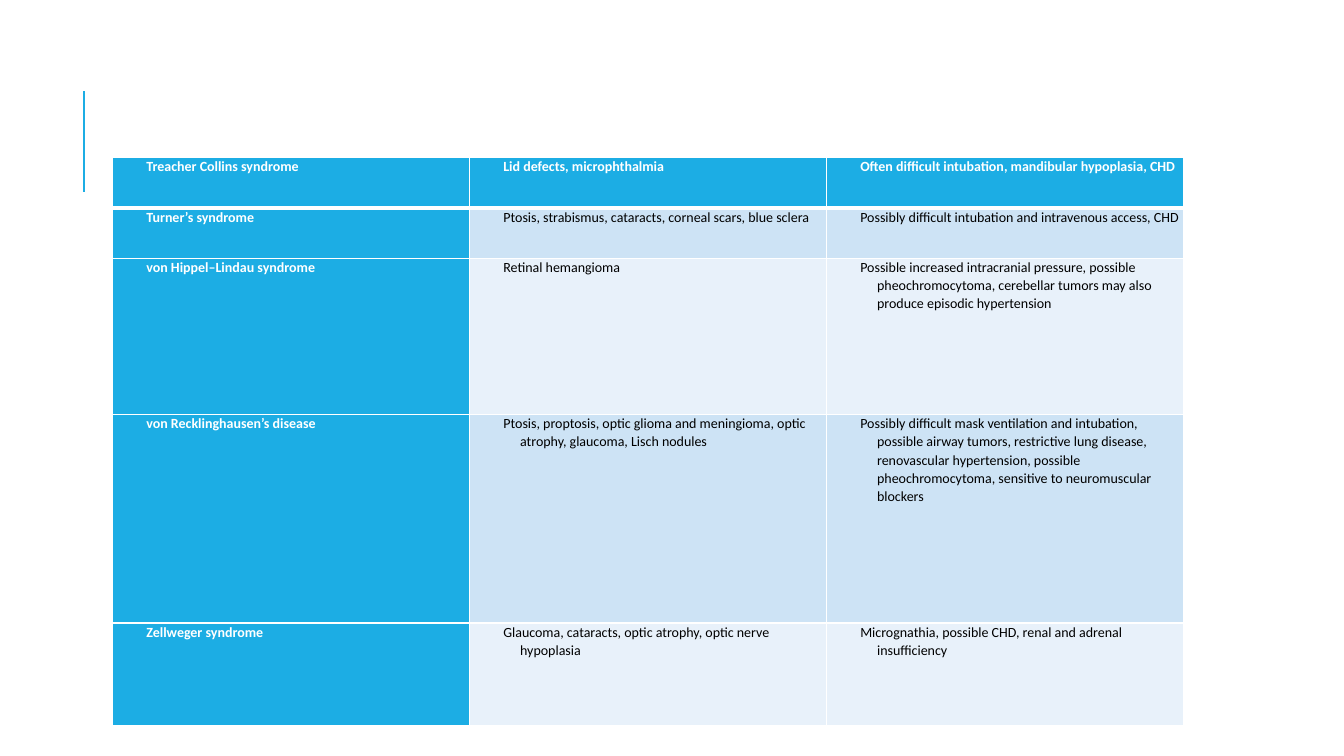
from lxml.etree import SubElement
from pptx import Presentation
from pptx.dml.color import RGBColor
from pptx.enum.shapes import MSO_CONNECTOR
from pptx.oxml import parse_xml
from pptx.oxml.ns import nsdecls, qn
from pptx.util import Pt

BLUE = RGBColor(0x1C, 0xAD, 0xE4)
DARK_BAND = RGBColor(0xCD, 0xE3, 0xF5)
LIGHT_BAND = RGBColor(0xE8, 0xF1, 0xFA)
WHITE = RGBColor(0xFF, 0xFF, 0xFF)
BLACK = RGBColor(0, 0, 0)

SYNDROMES = [
    ("Treacher Collins syndrome",
     "Lid defects, microphthalmia",
     "Often difficult intubation, mandibular hypoplasia, CHD"),
    ("Turner’s syndrome",
     "Ptosis, strabismus, cataracts, corneal scars, blue sclera",
     "Possibly difficult intubation and intravenous access, CHD"),
    ("von Hippel–Lindau syndrome",
     "Retinal hemangioma",
     "Possible increased intracranial pressure, possible pheochromocytoma, "
     "cerebellar tumors may also produce episodic hypertension"),
    ("von Recklinghausen’s disease",
     "Ptosis, proptosis, optic glioma and meningioma, optic atrophy, "
     "glaucoma, Lisch nodules",
     "Possibly difficult mask ventilation and intubation, possible airway "
     "tumors, restrictive lung disease, renovascular hypertension, possible "
     "pheochromocytoma, sensitive to neuromuscular blockers"),
    ("Zellweger syndrome",
     "Glaucoma, cataracts, optic atrophy, optic nerve hypoplasia",
     "Micrognathia, possible CHD, renal and adrenal insufficiency"),
]
ROW_HEIGHTS = [36, 36, 111.6, 149, 73.6]
COLUMN_WIDTH = 255


def write_text(text_frame, text, color=BLACK, bold=False, size=10, font="Calibri",
               hanging=12, line_spacing=1.07, space_after=18):
    paragraph = text_frame.paragraphs[0]
    paragraph.text = text
    paragraph.line_spacing = line_spacing
    paragraph.space_after = Pt(space_after)
    properties = paragraph._p.get_or_add_pPr()
    properties.set("marL", str(Pt(hanging)))
    properties.set("indent", str(-Pt(hanging)))
    run_font = paragraph.runs[0].font
    run_font.name = font
    run_font.size = Pt(size)
    run_font.bold = bold
    run_font.color.rgb = color


def set_borders(cell, color=WHITE, **widths):
    properties = cell._tc.get_or_add_tcPr()
    for position, side in enumerate(("L", "R", "T", "B")):
        border = parse_xml(
            f'<a:ln{side} {nsdecls("a")} w="{Pt(widths.get(side, 1))}">'
            f'<a:solidFill><a:srgbClr val="{color}"/></a:solidFill></a:ln{side}>')
        properties.insert(position, border)


def fill_cell(cell, text, row, column):
    is_heading = row == 0 or column == 0
    band = DARK_BAND if row % 2 else LIGHT_BAND
    cell.margin_left = Pt(24)
    cell.margin_top = cell.margin_right = cell.margin_bottom = 0
    cell.fill.solid()
    cell.fill.fore_color.rgb = BLUE if is_heading else band
    write_text(cell.text_frame, text, color=WHITE if is_heading else BLACK, bold=is_heading)
    set_borders(cell, T=3 if row == 1 else 1, B=3 if row == 0 else 1)


def add_syndrome_table(slide, left, top):
    column_count = len(SYNDROMES[0])
    table = slide.shapes.add_table(
        len(SYNDROMES), column_count, Pt(left), Pt(top),
        Pt(COLUMN_WIDTH * column_count), Pt(sum(ROW_HEIGHTS))).table
    for column in table.columns:
        column.width = Pt(COLUMN_WIDTH)
    for row, texts in enumerate(SYNDROMES):
        table.rows[row].height = Pt(ROW_HEIGHTS[row])
        for column, text in enumerate(texts):
            fill_cell(table.cell(row, column), text, row, column)


def add_accent_line(slide, left, top, bottom):
    connector = slide.shapes.add_connector(
        MSO_CONNECTOR.STRAIGHT, Pt(left), Pt(bottom), Pt(left), Pt(top))
    connector.line.color.rgb = BLUE
    connector.line.width = Pt(1.5)
    SubElement(connector._element.spPr, qn("a:effectLst"))


def main():
    presentation = Presentation()
    presentation.slide_width = Pt(960)
    presentation.slide_height = Pt(540)
    slide = presentation.slides.add_slide(presentation.slide_layouts[6])
    add_accent_line(slide, left=60, top=65, bottom=137)
    add_syndrome_table(slide, left=80.6, top=112.4)
    presentation.save("out.pptx")


if __name__ == "__main__":
    main()
